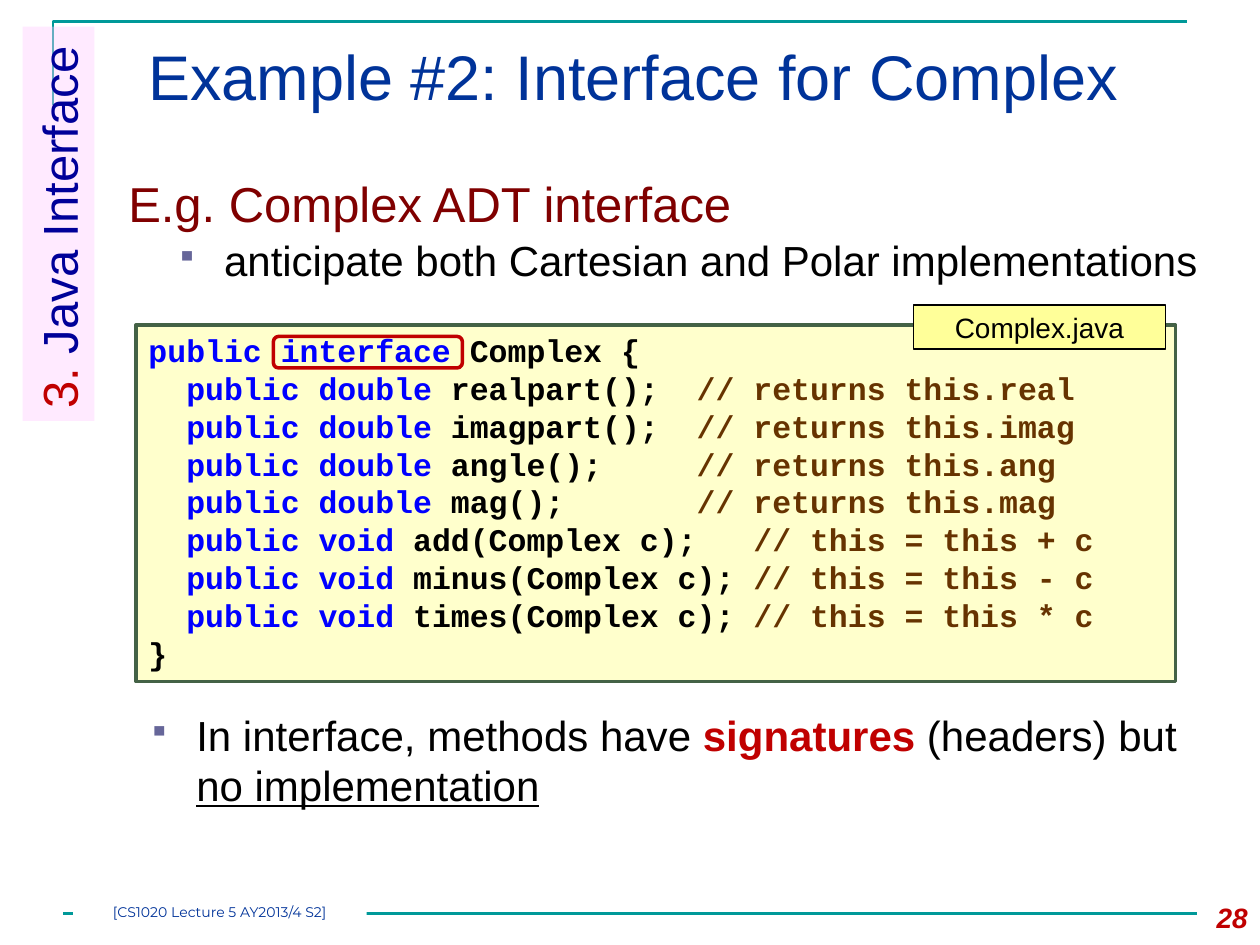
import dataclasses
import typing

import lxml.etree
import pptx
import pptx.dml.color
import pptx.enum.shapes
import pptx.enum.text
import pptx.oxml.ns
import pptx.util

ALIGN = pptx.enum.text.PP_ALIGN
ANCHOR = pptx.enum.text.MSO_ANCHOR
SHAPE = pptx.enum.shapes.MSO_SHAPE
qn = pptx.oxml.ns.qn
inches = pptx.util.Inches
Box = tuple[float, float, float, float]


@dataclasses.dataclass(frozen=True)
class Theme:
    """Colours, fonts and type sizes of the slide."""
    rule: str = "009999"
    title: str = "003399"
    accent: str = "C00000"
    section: str = "000099"
    heading: str = "800000"
    bullet: str = "666699"
    text: str = "000000"
    keyword: str = "0000FF"
    comment: str = "663300"
    code_edge: str = "446246"
    code_fill: str = "FFFFCC"
    label_fill: str = "FFFF99"
    section_fill: str = "FFCCFF"
    paper: str = "FFFFFF"
    sans: str = "Arial"
    mono: str = "Courier New"
    footer_font: str = "Montserrat"
    title_size: int = 36
    heading_size: int = 28
    body_size: int = 24
    code_size: int = 18
    label_size: int = 16
    footer_size: int = 8


THEME = Theme()


@dataclasses.dataclass(frozen=True)
class Run:
    """A piece of text in one colour, with further font values."""
    text: str
    color: str
    values: dict[str, typing.Any] = dataclasses.field(default_factory=dict)


@dataclasses.dataclass(frozen=True)
class Line:
    """A paragraph of runs; level counts indent steps."""
    runs: list[Run]
    size: int
    font: str = THEME.sans
    align: ALIGN = ALIGN.LEFT
    level: int = 0
    bullet: bool = False
    values: dict[str, typing.Any] = dataclasses.field(default_factory=dict)


@dataclasses.dataclass(frozen=True)
class Method:
    """One method of the interface listing."""
    result: str
    signature: str
    comment: str


def rgb(color: str) -> pptx.dml.color.RGBColor:
    """Turn a hex string into a colour."""
    return pptx.dml.color.RGBColor.from_string(color)


def set_values(target: typing.Any, values: dict[str, typing.Any]) -> None:
    """Set attributes from a dict of format values."""
    for name, value in values.items():
        setattr(target, name, value)


def write(shape: typing.Any, lines: list[Line], **frame_values: typing.Any) -> None:
    """Fill the text frame of a shape with lines."""
    frame = shape.text_frame
    set_values(frame, {"word_wrap": True, "vertical_anchor": ANCHOR.TOP, **frame_values})
    for index, line in enumerate(lines):
        paragraph = frame.add_paragraph() if index else frame.paragraphs[0]
        set_values(paragraph, {"alignment": line.align, **line.values})
        if line.level:
            properties = paragraph._p.get_or_add_pPr()
            properties.set("marL", str(inches(0.38 * line.level)))
            properties.set("indent", str(inches(-0.38)))
            if line.bullet:
                color = lxml.etree.SubElement(properties, qn("a:buClr"))
                lxml.etree.SubElement(color, qn("a:srgbClr"), val=THEME.bullet)
                lxml.etree.SubElement(properties, qn("a:buSzPct"), val="70000")
                lxml.etree.SubElement(properties, qn("a:buChar"), char="▪")
        for part in line.runs:
            run = paragraph.add_run()
            run.text = part.text
            set_values(run.font, {"size": pptx.util.Pt(line.size), "name": line.font, **part.values})
            run.font.color.rgb = rgb(part.color)


def outline(shape: typing.Any, color: str, width: float) -> None:
    """Give a shape or connector a solid line."""
    shape.line.color.rgb = rgb(color)
    shape.line.width = pptx.util.Pt(width)


def add_box(slide: typing.Any, box: Box, fill: str | None = None, edge: str | None = None,
            width: float = 2, kind: SHAPE = SHAPE.RECTANGLE) -> typing.Any:
    """Add a preset shape without shadow."""
    shape = slide.shapes.add_shape(kind, *map(inches, box))
    shape.shadow.inherit = False
    if fill:
        shape.fill.solid()
        shape.fill.fore_color.rgb = rgb(fill)
    else:
        shape.fill.background()
    if edge:
        outline(shape, edge, width)
    else:
        shape.line.fill.background()
    return shape


def add_text(slide: typing.Any, box: Box, lines: list[Line], **frame_values: typing.Any) -> None:
    """Add a text box holding lines."""
    write(slide.shapes.add_textbox(*map(inches, box)), lines, **frame_values)


def add_frame(slide: typing.Any) -> None:
    """Draw the corner rule, bottom rule, footer and page number."""
    builder = slide.shapes.build_freeform(inches(0.42), inches(0.83))
    builder.add_line_segments([(inches(0.42), inches(0.17)), (inches(9.42), inches(0.17))], close=False)
    corner = builder.convert_to_shape()
    corner.shadow.inherit = False
    corner.fill.background()
    outline(corner, THEME.rule, 1.5)
    rule = slide.shapes.add_connector(pptx.enum.shapes.MSO_CONNECTOR.STRAIGHT,
                                      *map(inches, (0.5, 7.25, 9.5, 7.25)))
    outline(rule, THEME.rule, 1.5)
    lxml.etree.SubElement(rule._element.spPr, qn("a:effectLst"))
    footer = add_box(slide, (0.58, 7.17, 2.33, 0.17), THEME.paper)
    write(footer, [Line([Run("[CS1020 Lecture 5 AY2013/4 S2]", THEME.title)], THEME.footer_size,
                        THEME.footer_font, ALIGN.CENTER)],
          margin_left=0, margin_right=0, margin_top=0, margin_bottom=0)
    number = Run("28", THEME.accent, {"bold": True, "italic": True})
    add_text(slide, (9.33, 7.1, 0.67, 0.4), [Line([number], THEME.label_size, align=ALIGN.RIGHT)])


def add_section(slide: typing.Any) -> None:
    """Draw the translucent section tab along the left edge."""
    tab = add_box(slide, (-1.1, 1.49, 3.13, 0.57), THEME.section_fill)
    tab.rotation = 270
    color = tab._element.spPr.find(qn("a:solidFill"))[0]
    lxml.etree.SubElement(color, qn("a:alpha"), val="40000")
    write(tab, [Line([Run("3. ", THEME.accent), Run("Java Interface", THEME.section)], THEME.heading_size)])


def add_listing(slide: typing.Any) -> None:
    """Draw the code panel, its file label and the keyword marker."""
    methods = [Method("double", "realpart();", "returns this.real"),
               Method("double", "imagpart();", "returns this.imag"),
               Method("double", "angle();", "returns this.ang"),
               Method("double", "mag();", "returns this.mag"),
               Method("void", "add(Complex c);", "this = this + c"),
               Method("void", "minus(Complex c);", "this = this - c"),
               Method("void", "times(Complex c);", "this = this * c")]
    bold = {"bold": True}
    rows = [[Run("public interface", THEME.keyword, bold), Run(" Complex {", THEME.text, bold)]]
    for method in methods:
        width = 13 if method.result == "double" else 18
        rows.append([Run(f"  public {method.result}", THEME.keyword, bold),
                     Run(f" {method.signature:<{width}}", THEME.text, bold),
                     Run(f"// {method.comment}", THEME.comment, bold)])
    rows.append([Run("}", THEME.text, bold)])
    panel = add_box(slide, (1.08, 2.58, 8.25, 2.83), THEME.code_fill, THEME.code_edge)
    write(panel, [Line(row, THEME.code_size, THEME.mono) for row in rows])
    label = add_box(slide, (7.25, 2.42, 2, 0.35), THEME.label_fill, THEME.text, 0.75)
    write(label, [Line([Run("Complex.java", THEME.text)], THEME.label_size, align=ALIGN.CENTER)],
          vertical_anchor=ANCHOR.MIDDLE)
    add_box(slide, (2.17, 2.67, 1.5, 0.25), edge=THEME.accent, kind=SHAPE.ROUNDED_RECTANGLE)


def main() -> None:
    """Build and save the slide."""
    presentation = pptx.Presentation()
    set_values(presentation, {"slide_width": inches(10), "slide_height": inches(7.5)})
    slide = presentation.slides.add_slide(presentation.slide_layouts[6])
    add_frame(slide)
    add_text(slide, (1.08, 0.25, 8.67, 0.86),
             [Line([Run("Example #2: Interface for Complex", THEME.title)], THEME.title_size)])
    add_section(slide)
    spacing = {"space_before": pptx.util.Pt(1)}
    add_text(slide, (0.92, 1.33, 8.72, 1.09), [
        Line([Run("E.g. Complex ADT interface", THEME.heading)], THEME.heading_size, level=1),
        Line([Run("anticipate both Cartesian and Polar implementations", THEME.text)],
             THEME.body_size, level=2, bullet=True, values=spacing)])
    add_text(slide, (1.08, 5.58, 8.5, 1), [
        Line([Run("In interface, methods have ", THEME.text), Run("signatures", THEME.accent, {"bold": True}),
              Run(" (headers) but ", THEME.text), Run("no implementation", THEME.text, {"underline": True})],
             THEME.body_size, level=1, bullet=True, values=spacing)])
    add_listing(slide)
    presentation.save("out.pptx")


main()
